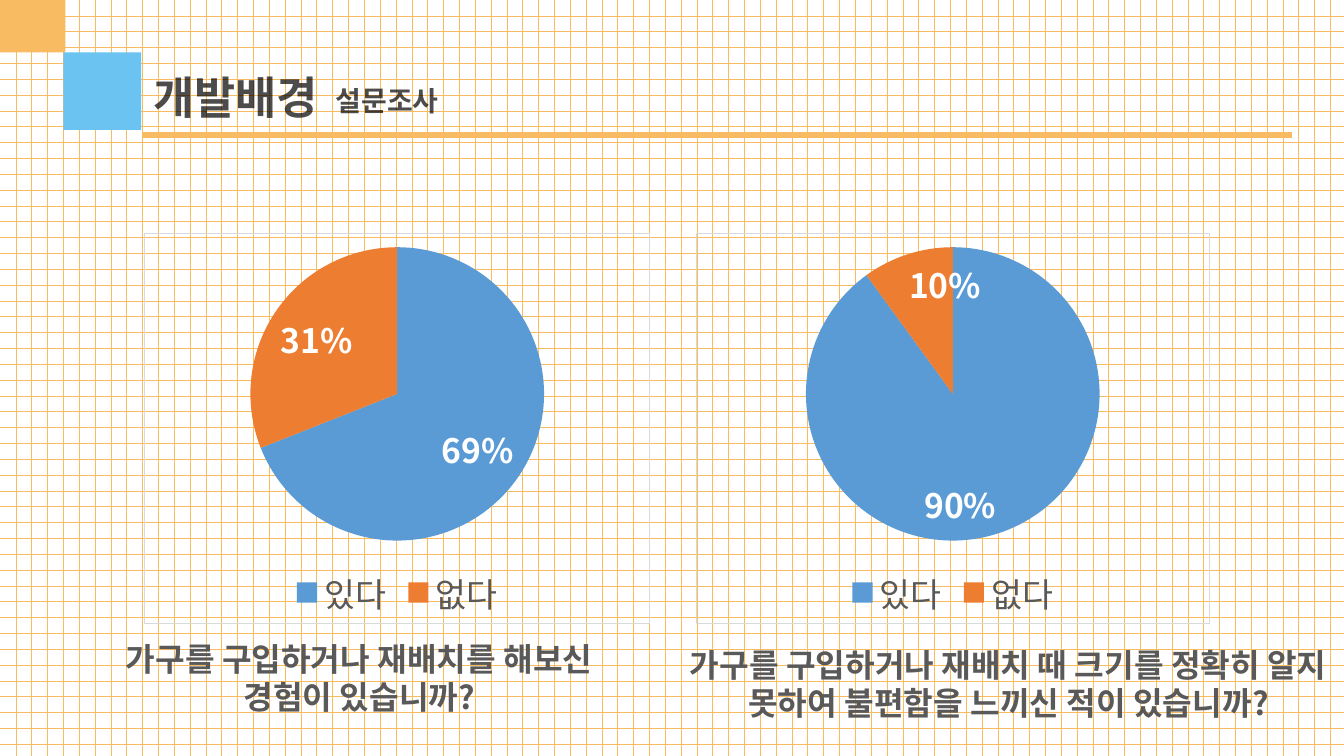
"""Build the survey slide with two pie charts on a grid background."""
import pptx
import pptx.chart.data
import pptx.dml.color
import pptx.enum.chart
import pptx.enum.dml
import pptx.enum.shapes
import pptx.enum.text
import pptx.oxml
import pptx.oxml.ns
import pptx.util
from lxml import etree

Inches = pptx.util.Inches
Pt = pptx.util.Pt
RGBColor = pptx.dml.color.RGBColor
qn = pptx.oxml.ns.qn

FONT = "Noto Sans CJK KR"
ORANGE = RGBColor(0xF8, 0xBB, 0x62)
SKY = RGBColor(0x6A, 0xC3, 0xF0)
WHITE = RGBColor(0xFF, 0xFF, 0xFF)
BLACK = RGBColor(0, 0, 0)
GRAY = RGBColor(0x59, 0x59, 0x59)
PIE_COLORS = [RGBColor(0x5B, 0x9B, 0xD5), RGBColor(0xED, 0x7D, 0x31)]

ANSWERS = ["있다", "없다"]
CHARTS = [
    {"left": 1.43, "width": 5.02, "values": (69, 31)},
    {"left": 6.9, "width": 5.1, "values": (90, 10)},
]
QUESTIONS = [
    ("가구를 구입하거나 재배치를 해보신 경험이 있습니까?", (0.88, 6.29, 5.37, 0.88)),
    ("가구를 구입하거나 재배치 때 크기를 정확히 알지 못하여 불편함을 느끼신 적이 있습니까?",
     (6.67, 6.35, 6.67, 0.88)),
]
HEADINGS = [
    ("설문조사", (3.23, 0.78, 5.37, 0.44), 20),
    ("개발배경", (1.42, 0.64, 5.37, 0.64), 32),
]
SQUARES = [(-0.12, -0.25, ORANGE), (0.63, 0.52, SKY)]
SQUARE_SIZE = 0.77
CHART_TOP, CHART_HEIGHT = 2.31, 3.88
RULE_Y, RULE_LEFT, RULE_RIGHT = 1.34, 1.41, 12.81


def set_font(font, size, color, bold=False):
    font.name = FONT
    font.size = Pt(size)
    font.bold = bold
    font.color.rgb = color


def set_east_asian(root):
    for latin in list(root.iter(qn("a:latin"))):
        ea = etree.Element(qn("a:ea"))
        ea.set("typeface", FONT)
        latin.addnext(ea)


def add_rect(slide, box):
    sp = slide.shapes.add_shape(
        pptx.enum.shapes.MSO_SHAPE.RECTANGLE, *map(Inches, box))
    sp.shadow.inherit = False
    sp.line.fill.background()
    return sp


def add_text(slide, text, box, size, color, align, opacity=100):
    tf = slide.shapes.add_textbox(*map(Inches, box)).text_frame
    tf.word_wrap = True
    tf.auto_size = pptx.enum.text.MSO_AUTO_SIZE.SHAPE_TO_FIT_TEXT
    p = tf.paragraphs[0]
    p.text = text
    p.alignment = align
    set_font(p.font, size, color, True)
    if opacity < 100:
        for clr in p._p.iter(qn("a:srgbClr")):
            etree.SubElement(clr, qn("a:alpha")).set("val", str(opacity * 1000))


def add_pie(slide, left, width, values):
    data = pptx.chart.data.CategoryChartData()
    data.categories = ANSWERS
    data.add_series("Series 1", values)
    chart = slide.shapes.add_chart(
        pptx.enum.chart.XL_CHART_TYPE.PIE, Inches(left), Inches(CHART_TOP),
        Inches(width), Inches(CHART_HEIGHT), data).chart
    set_font(chart.font, 10, BLACK)
    chart.has_title = False
    chart.has_legend = True
    chart.legend.position = pptx.enum.chart.XL_LEGEND_POSITION.BOTTOM
    chart.legend.include_in_layout = False
    set_font(chart.legend.font, 24, GRAY)

    plot = chart.plots[0]
    plot.vary_by_categories = True
    for i, color in enumerate(PIE_COLORS):
        fill = plot.series[0].points[i].format.fill
        fill.solid()
        fill.fore_color.rgb = color
    labels = plot.series[0].data_labels
    labels.show_percentage = True
    labels.show_value = False
    labels.number_format = "0%"
    labels.number_format_is_linked = False
    labels.position = pptx.enum.chart.XL_LABEL_POSITION.INSIDE_END
    set_font(labels.font, 24, WHITE, True)

    border = pptx.oxml.parse_xml(
        f'<c:spPr {pptx.oxml.ns.nsdecls("c", "a")}><a:noFill/>'
        '<a:ln w="9525"><a:solidFill><a:srgbClr val="D9D9D9"/></a:solidFill></a:ln>'
        '</c:spPr>')
    root = chart._chartSpace
    root.find(qn("c:chart")).addnext(border)
    set_east_asian(root)


def main():
    prs = pptx.Presentation()
    prs.slide_width, prs.slide_height = Inches(13.33), Inches(7.5)
    slide = prs.slides.add_slide(prs.slide_layouts[6])
    align = pptx.enum.text.PP_ALIGN

    grid = add_rect(slide, (0, 0, 13.33, 7.5)).fill
    grid.patterned()
    grid.pattern = pptx.enum.dml.MSO_PATTERN.DOTTED_GRID
    grid.fore_color.rgb = ORANGE
    grid.back_color.rgb = WHITE

    for chart in CHARTS:
        add_pie(slide, **chart)
    for text, box in QUESTIONS:
        add_text(slide, text, box, 23, GRAY, align.CENTER)

    for left, top, color in SQUARES:
        sp = add_rect(slide, (left, top, SQUARE_SIZE, SQUARE_SIZE))
        sp.fill.solid()
        sp.fill.fore_color.rgb = color

    rule = slide.shapes.add_connector(
        pptx.enum.shapes.MSO_CONNECTOR.STRAIGHT, Inches(RULE_LEFT),
        Inches(RULE_Y), Inches(RULE_RIGHT), Inches(RULE_Y))
    rule.line.color.rgb = ORANGE
    rule.line.width = Pt(3.75)
    etree.SubElement(rule._element.spPr, qn("a:effectLst"))

    for text, box, size in HEADINGS:
        add_text(slide, text, box, size, BLACK, align.LEFT, opacity=70)
    set_east_asian(slide._element)
    prs.save("out.pptx")


if __name__ == "__main__":
    main()
